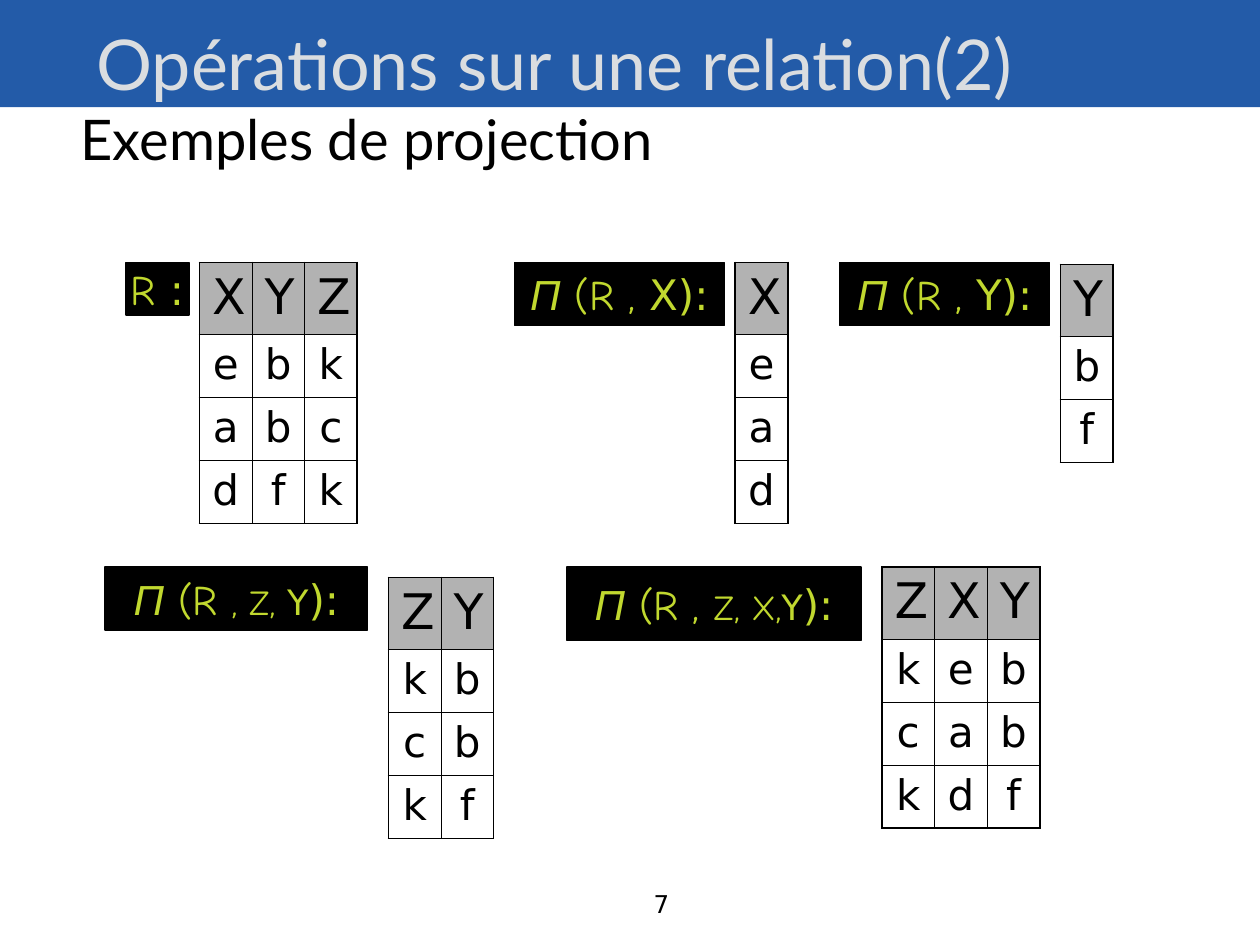
"""Build the slide showing projections of a relation R."""
from dataclasses import dataclass

from lxml import etree
from pptx import Presentation
from pptx import util as u
from pptx.dml.color import RGBColor
from pptx.enum import shapes, text
from pptx.oxml import ns

BLUE = RGBColor(0x23, 0x5B, 0xA8)
PALE = RGBColor(0xDA, 0xDD, 0xE0)
BLACK = RGBColor(0, 0, 0)
GREY = RGBColor(0xB2, 0xB2, 0xB2)
LIME = RGBColor(0xC1, 0xD8, 0x2F)
TITLE_FONT, SANS, COMIC, SYMBOL = "Lato", "DejaVu Sans", "Comic Neue", "Arial"
COLUMN_WIDTH, HEADER_HEIGHT, ROW_HEIGHT = 1.06, 1.45, 1.27
INNER_LINE, OUTER_LINE = u.Pt(0.45), u.Pt(1.08)


@dataclass
class Piece:
    """A stretch of label text in one format."""
    text: str
    font: str = COMIC
    size: int = 24
    italic: bool = False


@dataclass
class Label:
    """A black box naming a relation, in centimetres."""
    left: float
    top: float
    width: float
    height: float
    pieces: list[Piece]


@dataclass
class Relation:
    """A table whose rows are strings of one-letter values."""
    left: float
    top: float
    rows: list[str]


PI = Piece("Π", SYMBOL, italic=True)
LABELS = [
    Label(2.54, 5.29, 1.27, 1.06, [Piece("R "), Piece(":", SANS)]),
    Label(10.37, 5.29, 4.23, 1.27, [PI, Piece(" (R , "), Piece("X):", SANS)]),
    Label(16.93, 5.29, 4.23, 1.27, [PI, Piece(" (R , "), Piece("Y):", SANS)]),
    Label(2.12, 11.43, 5.29, 1.27, [PI, Piece(" (R "), Piece(", Z, ", size=20),
                                    Piece("Y", SANS, 20), Piece("):", SANS)]),
    Label(11.43, 11.43, 5.93, 1.48, [PI, Piece(" (R , "), Piece("Z, X,", size=20),
                                     Piece("Y", SANS, 20), Piece("):", SANS)]),
]
RELATIONS = [
    Relation(4.02, 5.29, ["XYZ", "ebk", "abc", "dfk"]),
    Relation(14.82, 5.29, ["X", "e", "a", "d"]),
    Relation(21.38, 5.33, ["Y", "b", "f"]),
    Relation(7.83, 11.64, ["ZY", "kb", "cb", "kf"]),
    Relation(17.78, 11.43, ["ZXY", "keb", "cab", "kdf"]),
]


def add_text(paragraph, content: str, *, size: float, font: str = SANS,
             color: RGBColor = BLACK, italic: bool = False) -> None:
    """Append a formatted run to a paragraph."""
    run = paragraph.add_run()
    run.text = content
    run.font.size = u.Pt(size)
    run.font.name = font
    run.font.color.rgb = color
    run.font.italic = italic


def add_box(slide, left: float, top: float, width: float, height: float, color: RGBColor):
    """Add a flat filled rectangle."""
    shape = slide.shapes.add_shape(shapes.MSO_SHAPE.RECTANGLE, u.Cm(left), u.Cm(top),
                                   u.Cm(width), u.Cm(height))
    shape.shadow.inherit = False
    shape.fill.solid()
    shape.fill.fore_color.rgb = color
    shape.line.color.rgb = color
    shape.line.width = u.Pt(0.75)
    return shape


def add_heading(slide) -> None:
    """Draw the blue band and fill the title above it."""
    band = add_box(slide, 0, 0, 25.4, 2.16, BLUE)
    band.line.fill.background()
    band.element.getparent().insert(2, band.element)
    title = slide.shapes.title
    title.left, title.top = u.Cm(1.37), u.Cm(-0.48)
    title.width, title.height = u.Cm(22.68), u.Cm(4.83)
    frame = title.text_frame
    frame.auto_size = text.MSO_AUTO_SIZE.NONE
    frame.vertical_anchor = text.MSO_ANCHOR.MIDDLE
    paragraph = frame.paragraphs[0]
    paragraph.alignment = text.PP_ALIGN.LEFT
    add_text(paragraph, " ", size=36, font=TITLE_FONT, color=PALE)
    add_text(paragraph, "Opérations sur une relation(2)", size=40, font=TITLE_FONT, color=PALE)
    paragraph.add_line_break()
    add_text(paragraph, "Exemples de projection", size=32, font=TITLE_FONT)


def add_label(slide, label: Label) -> None:
    """Draw a black label with its projection formula."""
    box = add_box(slide, label.left, label.top, label.width, label.height, BLACK)
    frame = box.text_frame
    frame.word_wrap = False
    frame.vertical_anchor = text.MSO_ANCHOR.MIDDLE
    paragraph = frame.paragraphs[0]
    paragraph.alignment = text.PP_ALIGN.CENTER
    for piece in label.pieces:
        add_text(paragraph, piece.text, size=piece.size, font=piece.font,
                 color=LIME, italic=piece.italic)


def add_border(cell, side: str, width: int) -> None:
    """Add one black border to a cell."""
    properties = cell._tc.get_or_add_tcPr()
    line = etree.SubElement(properties, ns.qn(f"a:ln{side}"), w=str(int(width)))
    fill = etree.SubElement(line, ns.qn("a:solidFill"))
    etree.SubElement(fill, ns.qn("a:srgbClr"), val=str(BLACK))


def add_relation(slide, relation: Relation) -> None:
    """Draw a relation as a table with a grey header."""
    last_row, last_column = len(relation.rows) - 1, len(relation.rows[0]) - 1
    width = COLUMN_WIDTH * (last_column + 1)
    height = HEADER_HEIGHT + ROW_HEIGHT * last_row
    table = slide.shapes.add_table(last_row + 1, last_column + 1, u.Cm(relation.left),
                                   u.Cm(relation.top), u.Cm(width), u.Cm(height)).table
    table.first_row = table.horz_banding = False
    for column in table.columns:
        column.width = u.Cm(COLUMN_WIDTH)
    for i, values in enumerate(relation.rows):
        table.rows[i].height = u.Cm(ROW_HEIGHT if i else HEADER_HEIGHT)
        for j, value in enumerate(values):
            cell = table.cell(i, j)
            outer = {"L": j == 0, "R": j == last_column, "T": i == 0, "B": i == last_row}
            for side, is_outer in outer.items():
                add_border(cell, side, OUTER_LINE if is_outer else INNER_LINE)
            if i == 0:
                cell.fill.solid()
                cell.fill.fore_color.rgb = GREY
            else:
                cell.fill.background()
            paragraph = cell.text_frame.paragraphs[0]
            paragraph.alignment = text.PP_ALIGN.CENTER
            add_text(paragraph, value, size=24 if i else 28)


def add_page_number(slide) -> None:
    """Write the page number at the foot of the slide."""
    box = slide.shapes.add_textbox(u.Cm(11.63), u.Cm(17.98), u.Cm(2.11), u.Cm(0.46))
    frame = box.text_frame
    frame.word_wrap = True
    frame.vertical_anchor = text.MSO_ANCHOR.MIDDLE
    frame.paragraphs[0].alignment = text.PP_ALIGN.RIGHT
    add_text(frame.paragraphs[0], "7", size=14)


def main() -> None:
    """Assemble and save the presentation."""
    presentation = Presentation()
    presentation.slide_width, presentation.slide_height = u.Cm(25.4), u.Cm(19.05)
    slide = presentation.slides.add_slide(presentation.slide_layouts[5])
    add_heading(slide)
    add_page_number(slide)
    for label in LABELS:
        add_label(slide, label)
    for relation in RELATIONS:
        add_relation(slide, relation)
    presentation.save("out.pptx")


if __name__ == "__main__":
    main()
